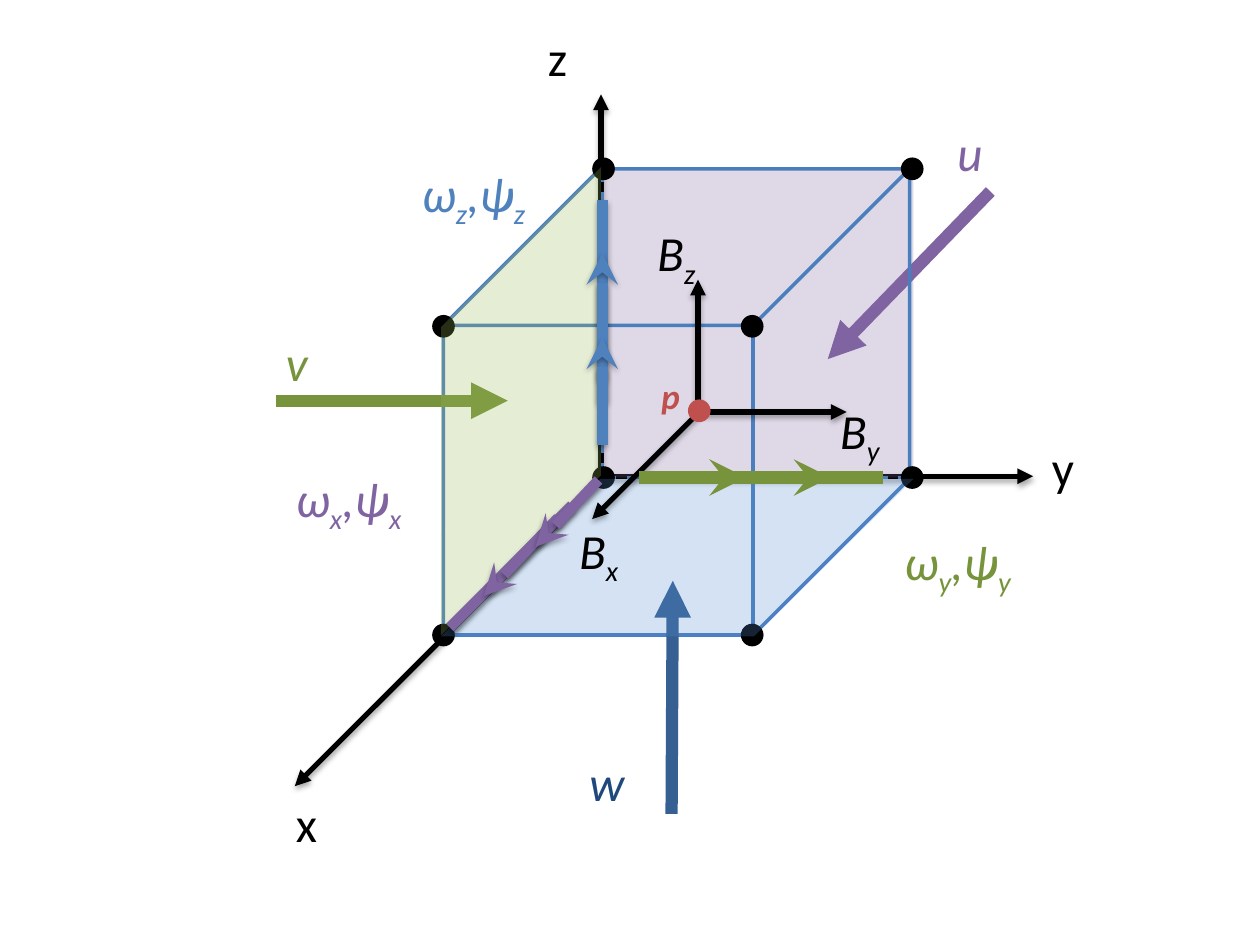
import dataclasses
import itertools

import lxml.etree
import pptx
import pptx.dml.color
import pptx.enum.dml
import pptx.enum.shapes
import pptx.oxml
import pptx.oxml.ns
import pptx.util

COLUMNS, ROWS = 10, 7.5
COLORS = {
    "black": "000000", "edge": "4B7EBC", "purple": "8064A2", "green": "77933C",
    "blue": "4F81BD", "steel": "376092", "navy": "1F497D", "red": "C0504D",
    "lime": "9BBB59", "sky": "558ED5",
}
SHAPES = pptx.enum.shapes.MSO_SHAPE
SHADOW = ('<a:outerShdw blurRad="40000" dist="23000" dir="5400000" rotWithShape="0">'
          '<a:srgbClr val="000000"><a:alpha val="35000"/></a:srgbClr></a:outerShdw>')

deck = pptx.Presentation()
deck.slide_width = pptx.util.Inches(10)
deck.slide_height = pptx.util.Inches(7.5)
page = deck.slides.add_slide(deck.slide_layouts[6])


@dataclasses.dataclass
class Box:
    left: float
    top: float

    def point(self, column, row):
        return (int((self.left + column) * deck.slide_width / COLUMNS),
                int((self.top + row) * deck.slide_height / ROWS))


def rgb(name):
    return pptx.dml.color.RGBColor.from_string(COLORS[name])


def add_line(parent, box, start, end, color="black", width=3, head=None, shadow=False, dash=False):
    line = parent.shapes.add_connector(
        pptx.enum.shapes.MSO_CONNECTOR.STRAIGHT, *box.point(*start), *box.point(*end))
    line.line.color.rgb = rgb(color)
    line.line.width = pptx.util.Pt(width)
    if dash:
        line.line.dash_style = pptx.enum.dml.MSO_LINE.DASH
    if head:
        outline = line.line._get_or_add_ln()
        lxml.etree.SubElement(outline, pptx.oxml.ns.qn("a:tailEnd"), type=head)
    effects = '<a:effectLst %s>%s</a:effectLst>' % (
        pptx.oxml.ns.nsdecls("a"), SHADOW if shadow else "")
    line._element.spPr.append(pptx.oxml.parse_xml(effects))


def add_shape(parent, box, kind, place, size, fill=None, alpha=None, line=None,
              adjust=None, rotation=0):
    shape = parent.shapes.add_shape(kind, *box.point(*place), *Box(0, 0).point(*size))
    shape.shadow.inherit = False
    shape.rotation = rotation
    if adjust is not None:
        shape.adjustments[0] = adjust
    if fill:
        shape.fill.solid()
        shape.fill.fore_color.rgb = rgb(fill)
    else:
        shape.fill.background()
    if alpha:
        tint = shape._element.spPr.find(".//" + pptx.oxml.ns.qn("a:srgbClr"))
        lxml.etree.SubElement(tint, pptx.oxml.ns.qn("a:alpha"), val=str(alpha * 1000))
    if line:
        shape.line.color.rgb = rgb(line)
        shape.line.width = pptx.util.Pt(2)
    else:
        shape.line.fill.background()


def add_text(parent, box, text, place, size, color="black", points=28, italic=True,
             bold=False, wrap=True):
    label = parent.shapes.add_textbox(*box.point(*place), *Box(0, 0).point(*size))
    label.text_frame.word_wrap = wrap
    para = label.text_frame.paragraphs[0]
    for index, part in enumerate(text.split("_")):
        span = para.add_run()
        span.text = part
        span.font.name = "Calibri"
        span.font.size = pptx.util.Pt(points)
        span.font.italic = italic
        span.font.bold = bold
        span.font.color.rgb = rgb(color)
        if index % 2:
            span._r.get_or_add_rPr().set("baseline", "-25000")


def add_dot(parent, box, center, color="black", size=0.18):
    corner = [value - size / 2 for value in center]
    add_shape(parent, box, SHAPES.OVAL, corner, (size, size), fill=color)


def draw_triad(parent, box, arrows, labels, italic):
    for start, end in arrows:
        add_line(parent, box, start, end, head="triangle", shadow=True)
    for text, place, size in labels:
        add_text(parent, box, text, place, size, italic=italic)


def draw_face(parent, box, size, fill, adjust, rotation=0):
    add_shape(parent, box, SHAPES.PARALLELOGRAM, (0, 0), size, fill=fill, alpha=25,
              adjust=adjust, rotation=rotation)


def draw_flow(parent, box, end, color, text, place, size, text_color=None):
    add_line(parent, box, (0, 0), end, color=color, width=7, head="triangle")
    add_text(parent, box, text, place, size, color=text_color or color)


def draw_frame(parent, box, side=3.7, depth=1.25):
    add_shape(parent, box, SHAPES.CUBE, (0, 0), (side, side), line="edge", adjust=0.336)
    hidden = (depth + 0.01, side - depth)
    for end in ((hidden[0], 0.03), (side, hidden[1]), (0, side)):
        add_line(parent, box, hidden, end, color="edge", width=2, dash=True)
    front = side - depth
    for column, row, back in itertools.product((0, front), (0, front), (0, 1)):
        add_dot(parent, box, (column + back * 1.27, depth + row - back * depth))


def draw_edge(box, pieces, color, width, shadow):
    group = page.shapes.add_group_shape()
    for start, end, head in pieces:
        add_line(group, box, start, end, color=color, width=width, head=head, shadow=shadow)


def draw_field(parent, box):
    add_text(parent, box, "p", (-0.4, -0.35), (0.35, 0.44), color="red", points=20,
             bold=True, wrap=False)
    draw_triad(parent, box,
               [((-0.03, 0), (1.17, 0)), ((-0.01, 0.01), (-0.01, -1.05)), ((0, 0), (-0.85, 0.85))],
               [("B_z", (-0.43, -1.55), (0.63, 0.52)), ("B_y", (1.02, -0.14), (0.83, 0.52)),
                ("B_x", (-1.05, 0.81), (0.67, 0.52))], italic=True)
    add_dot(parent, box, (0, -0.01), color="red")


diagram = page.shapes.add_group_shape()
draw_triad(diagram, Box(4.77, 3.78),
           [((-0.04, 0), (3.43, 0)), ((0, 0.03), (0, -3.03)), ((0.03, 0), (-2.43, 2.46))],
           [("z", (-0.52, -3.61), (0.48, 0.58)), ("y", (3.48, -0.36), (0.59, 0.69)),
            ("x", (-2.52, 2.47), (0.45, 0.66))], italic=False)
draw_face(diagram, Box(4.79, 1.35), (2.46, 2.44), "purple", 0)
draw_flow(diagram, Box(7.86, 1.52), (-1.29, 1.33), "purple", "u", (-0.36, -0.6), (0.55, 0.58))
draw_frame(diagram, Box(3.52, 1.34))
draw_flow(diagram, Box(2.19, 3.18), (1.84, 0), "green", "v", (-0.02, -0.59), (1.14, 0.58))
draw_face(diagram, Box(2.37, 2.32), (3.53, 1.73), "lime", 1.002, rotation=135)
draw_flow(diagram, Box(5.33, 6.46), (0.01, -1.85), "steel", "w", (-0.75, -0.54), (0.68, 0.58),
          text_color="navy")
draw_face(diagram, Box(3.5, 3.8), (3.75, 1.25), "sky", 1.012)
draw_field(diagram, Box(5.55, 3.27))

draw_edge(Box(5.07, 3.79), [((0, 0), (0.85, 0), "stealth"), ((0.34, 0), (1.94, 0), None),
                            ((0.52, 0), (1.52, 0), "stealth")], "green", 7, False)
draw_edge(Box(4.78, 3.53), [((0, -0.34), (0, -1.94), None), ((0, -0.52), (0, -1.52), "stealth"),
                            ((0, 0), (0, -0.85), "stealth")], "blue", 6, True)
draw_edge(Box(4.75, 3.81), [((-0.21, 0.2), (-1.18, 1.17), None),
                            ((-0.32, 0.3), (-0.91, 0.92), "stealth"),
                            ((0, 0), (-0.5, 0.53), "stealth")], "purple", 6, True)

for axis, color, column, row in (("z", "blue", 3.25, 1.25), ("x", "purple", 2.25, 3.67),
                                 ("y", "green", 7.08, 4.17)):
    add_text(page, Box(column, row), f"ω_{axis}_,ψ_{axis}", (0, 0), (1.17, 0.58), color=color)

deck.save("out.pptx")
